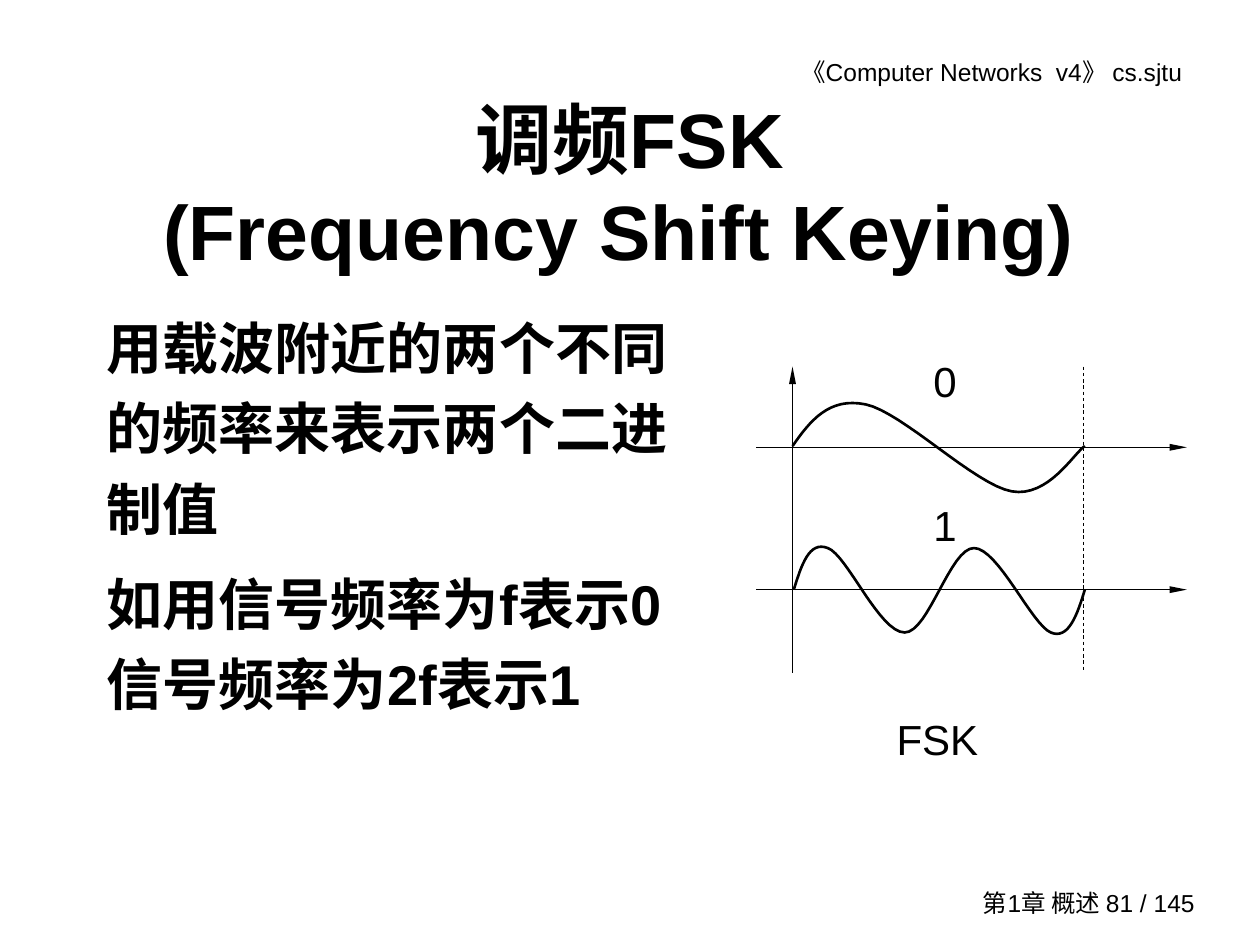
"""Build the frequency shift keying slide with its two carrier waveforms."""
from dataclasses import dataclass, field

from lxml.etree import SubElement
from pptx import Presentation
from pptx.dml.color import RGBColor
from pptx.enum.dml import MSO_LINE_DASH_STYLE as Dash
from pptx.enum.shapes import MSO_CONNECTOR_TYPE as Connector
from pptx.enum.text import MSO_VERTICAL_ANCHOR as Anchor
from pptx.enum.text import PP_PARAGRAPH_ALIGNMENT as Align
from pptx.oxml.ns import qn
from pptx.slide import Slide
from pptx.util import Inches, Pt

Point = tuple[float, float]

BLACK = RGBColor(0, 0, 0)
FONT = "Arial"
CURVE_STEPS = 16
AXIS_LEFT, AXIS_RIGHT = 6, 9.42
AXIS_TOP, AXIS_BOTTOM = 2.91, 5.34
ORIGIN_X, PERIOD_END_X = 6.29, 8.6
ZERO_Y, ONE_Y = 3.55, 4.68


@dataclass
class TextBlock:
    """Text with its box, font size and paragraph formats."""
    box: tuple[float, float, float, float]
    paragraphs: list[str]
    size: int
    bold: bool = False
    anchor: Anchor = Anchor.TOP
    formats: dict = field(default_factory=dict)
    gap: int = 0
    tab: float = 0


@dataclass
class GuideLine:
    """A straight line with optional arrowhead and dash."""
    start: Point
    end: Point
    width: float = 0.75
    arrow: bool = True
    dash: Dash = Dash.SOLID


TEXTS = [
    TextBlock((5.35, 0.4, 4.13, 0.34), ["《Computer Networks  v4》 cs.sjtu"], 14,
              formats={"alignment": Align.RIGHT}),
    TextBlock((7.5, 7, 2.08, 0.33), ["第1章 概述 81 / 145"], 14, anchor=Anchor.MIDDLE,
              formats={"alignment": Align.RIGHT}),
    TextBlock((0.75, 0.67, 8.5, 1.58), ["调频FSK\v(Frequency Shift Keying) "], 44, True,
              Anchor.MIDDLE, {"alignment": Align.CENTER}),
    TextBlock((6.96, 2.61, 1.08, 1.76), ["0", "1"], 24,
              formats={"alignment": Align.CENTER, "line_spacing": 1.4}, gap=42),
    TextBlock((6.55, 5.64, 1.78, 0.53), ["FSK"], 24,
              formats={"alignment": Align.CENTER, "line_spacing": 0.96}),
    TextBlock((0.75, 2.33, 4.88, 3.66),
              ["用载波附近的两个不同的频率来表示两个二进制值",
               "如用信号频率为f表示0\t信号频率为2f表示1"], 32, True,
              formats={"line_spacing": 1.2}, gap=8, tab=0.88),
]
LINES = [
    GuideLine((ORIGIN_X, AXIS_BOTTOM), (ORIGIN_X, AXIS_TOP)),
    GuideLine((AXIS_LEFT, ZERO_Y), (AXIS_RIGHT, ZERO_Y)),
    GuideLine((AXIS_LEFT, ONE_Y), (AXIS_RIGHT, ONE_Y)),
    GuideLine((PERIOD_END_X, AXIS_TOP), (PERIOD_END_X, AXIS_BOTTOM), 0.5, False, Dash.DASH),
]
WAVES: list[list[Point]] = [
    [(6.3, 4.68), (6.36, 4.49), (6.42, 4.29), (6.57, 4.35), (6.72, 4.4), (6.98, 5.02),
     (7.18, 5.02), (7.37, 5.02), (7.54, 4.35), (7.73, 4.35), (7.92, 4.35), (8.19, 4.96),
     (8.34, 5.02), (8.48, 5.08), (8.55, 4.88), (8.61, 4.68)],
    [(6.29, 3.54), (6.43, 3.34), (6.58, 3.15), (6.87, 3.21), (7.16, 3.27), (7.74, 3.85),
     (8.03, 3.9), (8.32, 3.95), (8.52, 3.6), (8.61, 3.54)],
]


def bezier_point(controls: list[Point], t: float) -> Point:
    """Return the point at t on a cubic Bézier curve."""
    weights = ((1 - t) ** 3, 3 * t * (1 - t) ** 2, 3 * t ** 2 * (1 - t), t ** 3)
    x, y = (sum(w * value for w, value in zip(weights, axis)) for axis in zip(*controls))
    return Inches(x), Inches(y)


def draw_wave(slide: Slide, controls: list[Point]) -> None:
    """Draw a chain of cubic curves as one open outline."""
    points = [bezier_point(controls[i:i + 4], step / CURVE_STEPS)
              for i in range(0, len(controls) - 1, 3)
              for step in range(1, CURVE_STEPS + 1)]
    start_x, start_y = bezier_point(controls[:4], 0)
    builder = slide.shapes.build_freeform(start_x, start_y)
    builder.add_line_segments(points, close=False)
    shape = builder.convert_to_shape()
    shape.shadow.inherit = False
    shape.fill.background()
    shape.line.color.rgb = BLACK
    shape.line.width = Pt(1.5)


def draw_line(slide: Slide, guide: GuideLine) -> None:
    """Draw an axis or a guide line."""
    ends = [Inches(value) for value in guide.start + guide.end]
    connector = slide.shapes.add_connector(Connector.STRAIGHT, *ends)
    connector.line.color.rgb = BLACK
    connector.line.width = Pt(guide.width)
    connector.line.dash_style = guide.dash
    properties = connector._element.spPr
    if guide.arrow:
        SubElement(properties.find(qn("a:ln")), qn("a:tailEnd"),
                   {"type": "triangle", "w": "sm", "len": "lg"})
    SubElement(properties, qn("a:effectLst"))


def draw_text(slide: Slide, block: TextBlock) -> None:
    """Draw a text box with one formatted run style."""
    shape = slide.shapes.add_textbox(*(Inches(value) for value in block.box))
    frame = shape.text_frame
    frame.word_wrap = True
    frame.vertical_anchor = block.anchor
    font_formats = {"name": FONT, "size": Pt(block.size), "bold": block.bold}
    for index, text in enumerate(block.paragraphs):
        paragraph = frame.add_paragraph() if index else frame.paragraphs[0]
        paragraph.text = text
        for name, value in block.formats.items():
            setattr(paragraph, name, value)
        if index:
            paragraph.space_before = Pt(block.gap)
        if block.tab:
            tabs = SubElement(paragraph._p.get_or_add_pPr(), qn("a:tabLst"))
            SubElement(tabs, qn("a:tab"), {"pos": str(Inches(block.tab)), "algn": "l"})
        for run in paragraph.runs:
            for name, value in font_formats.items():
                setattr(run.font, name, value)
            run.font.color.rgb = BLACK


def main() -> None:
    """Build and save the presentation."""
    presentation = Presentation()
    presentation.slide_width = Inches(10)
    presentation.slide_height = Inches(7.5)
    slide = presentation.slides.add_slide(presentation.slide_layouts[6])
    for wave in WAVES:
        draw_wave(slide, wave)
    for guide in LINES:
        draw_line(slide, guide)
    for block in TEXTS:
        draw_text(slide, block)
    presentation.save("out.pptx")


if __name__ == "__main__":
    main()
